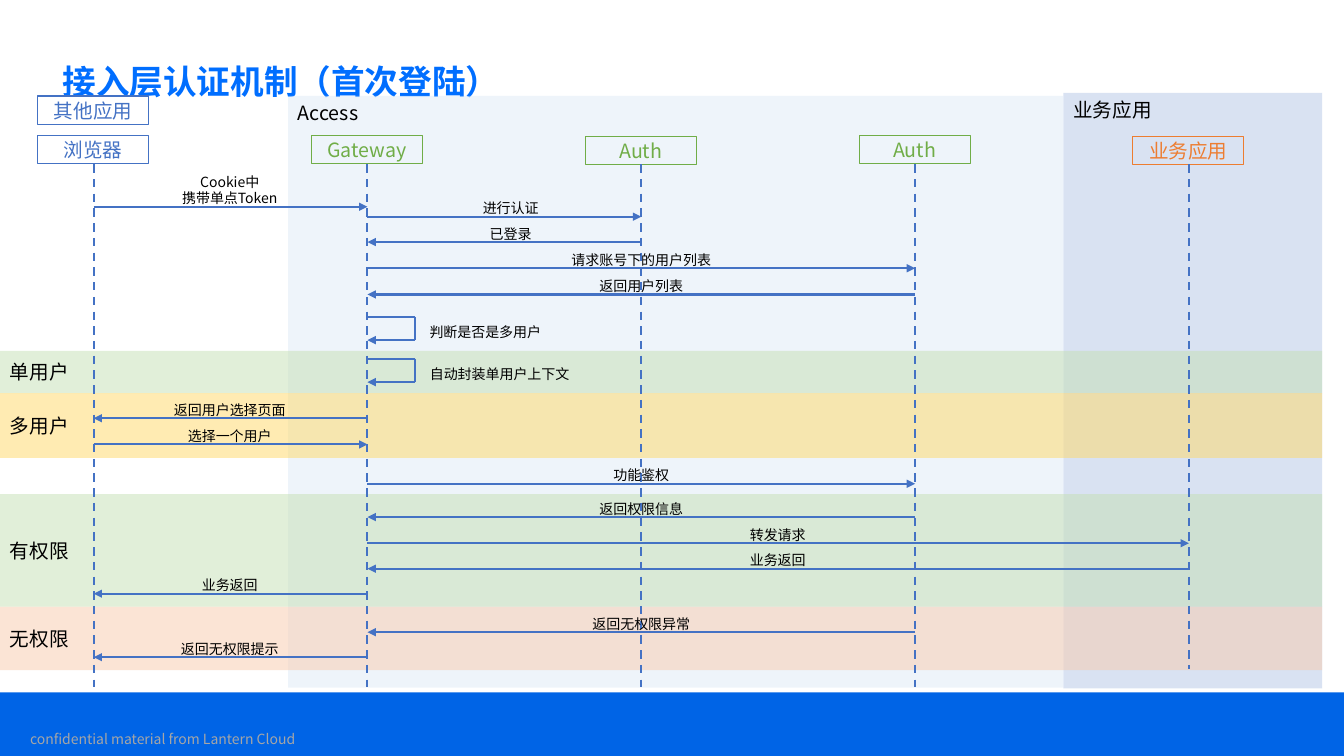
"""Builds a sequence diagram slide of first-login authentication at the access layer."""
from lxml.etree import SubElement
from pptx import Presentation
from pptx.dml.color import RGBColor
from pptx.enum.dml import MSO_LINE
from pptx.enum.shapes import MSO_CONNECTOR, MSO_SHAPE
from pptx.enum.text import MSO_ANCHOR as ANCHOR, PP_ALIGN as ALIGN
from pptx.oxml.ns import qn
from pptx.util import Cm, Pt

NOTO = "Noto Sans CJK SC"
BLACK = RGBColor(0x00, 0x00, 0x00)
TITLE_BLUE = RGBColor(0x00, 0x6E, 0xFF)
FOOTER_BLUE = RGBColor(0x00, 0x64, 0xE6)
GREY = RGBColor(0xA6, 0xA6, 0xA6)
BLUE = RGBColor(0x44, 0x72, 0xC4)
GREEN = RGBColor(0x70, 0xAD, 0x47)
ORANGE = RGBColor(0xED, 0x7D, 0x31)
ZONE_BLUE = RGBColor(0xB4, 0xC7, 0xE7)
PALE_BLUE = RGBColor(0xDE, 0xEB, 0xF7)
PALE_RED = RGBColor(0xF8, 0xCB, 0xAD)
PALE_GREEN = RGBColor(0xC5, 0xE0, 0xB4)
PALE_YELLOW = RGBColor(0xFF, 0xD9, 0x66)


def write(shape, text, size, color, align=ALIGN.LEFT, anchor=ANCHOR.MIDDLE, font=NOTO):
    frame = shape.text_frame
    frame.text = text
    frame.word_wrap = True
    frame.vertical_anchor = anchor
    for paragraph in frame.paragraphs:
        paragraph.alignment = align
        paragraph.font.name = font
        paragraph.font.size = Pt(size)
        paragraph.font.color.rgb = color
        defaults = paragraph._p.pPr.find(qn("a:defRPr"))
        SubElement(defaults, qn("a:ea")).set("typeface", NOTO)
    return frame


def draw_line(x1, y1, x2, y2, arrow=False, dashed=False):
    link = slide.shapes.add_connector(
        MSO_CONNECTOR.STRAIGHT, Cm(x1), Cm(y1), Cm(x2), Cm(y2))
    link.line.color.rgb = BLUE
    link.line.width = Pt(1.5)
    if dashed:
        link.line.dash_style = MSO_LINE.DASH
    if arrow:
        SubElement(link.line._get_or_add_ln(), qn("a:tailEnd")).set("type", "triangle")
    SubElement(link._element.spPr, qn("a:effectLst"))


prs = Presentation()
prs.slide_width, prs.slide_height = Cm(33.87), Cm(19.05)
slide = prs.slides.add_slide(prs.slide_layouts[5])

title = slide.shapes.title
title.left, title.top, title.width, title.height = Cm(1.32), Cm(1.32), Cm(29.2), Cm(1.58)
heading = write(title, "接入层认证机制（首次登陆）", 24, TITLE_BLUE).paragraphs[0]
heading.font.bold = True
heading.line_spacing = 0.9

footer = slide.shapes.add_shape(MSO_SHAPE.RECTANGLE, 0, Cm(17.45), prs.slide_width, Cm(1.6))
footer.shadow.inherit = False
footer.fill.solid()
footer.fill.fore_color.rgb = FOOTER_BLUE
footer.line.fill.background()
notice = slide.shapes.add_textbox(Cm(0.51), Cm(18.1), Cm(9.22), Cm(1.02))
write(notice, "confidential material from Lantern Cloud", 10, GREY)

areas = [
    ("业务应用", 26.8, 2.34, 6.52, 15.01, ZONE_BLUE, ANCHOR.TOP, NOTO),
    ("Access", 7.26, 2.42, 19.54, 14.91, PALE_BLUE, ANCHOR.TOP, NOTO),
    ("无权限", 0, 15.29, 33.32, 1.6, PALE_RED, ANCHOR.MIDDLE, "Calibri"),
    ("有权限", 0, 12.45, 33.32, 2.84, PALE_GREEN, ANCHOR.MIDDLE, "Calibri"),
    ("单用户", 0, 8.84, 33.32, 1.07, PALE_GREEN, ANCHOR.MIDDLE, "Calibri"),
    ("多用户", 0, 9.91, 33.32, 1.63, PALE_YELLOW, ANCHOR.MIDDLE, "Calibri"),
]
for name, left, top, width, height, color, anchor, font in areas:
    area = slide.shapes.add_shape(
        MSO_SHAPE.RECTANGLE, Cm(left), Cm(top), Cm(width), Cm(height))
    area.shadow.inherit = False
    area.fill.solid()
    area.fill.fore_color.rgb = color
    tint = area._element.spPr.find(qn("a:solidFill"))[0]
    SubElement(tint, qn("a:alpha")).set("val", "50000")
    area.line.fill.background()
    write(area, name, 14, BLACK, anchor=anchor, font=font)

lifelines = [2.36 + 6.9 * i for i in range(5)]
BROWSER, GATEWAY, AUTH, USER_AUTH, BUSINESS = range(5)
actors = [
    ("浏览器", BROWSER, 3.41, BLUE),
    ("其他应用", BROWSER, 2.42, BLUE),
    ("Gateway", GATEWAY, 3.41, GREEN),
    ("Auth", AUTH, 3.43, GREEN),
    ("Auth", USER_AUTH, 3.41, GREEN),
    ("业务应用", BUSINESS, 3.43, ORANGE),
]
for name, column, top, color in actors:
    actor = slide.shapes.add_shape(
        MSO_SHAPE.RECTANGLE, Cm(lifelines[column] - 1.41), Cm(top), Cm(2.8), Cm(0.72))
    actor.shadow.inherit = False
    actor.fill.background()
    actor.line.color.rgb = color
    actor.line.width = Pt(0.75)
    write(actor, name, 14, color, ALIGN.CENTER)

for column, x in enumerate(lifelines):
    draw_line(x, 4.14, x, 16.87 if column == BUSINESS else 17.32, dashed=True)

label_centers = {
    (BROWSER, GATEWAY): 5.79,
    (GATEWAY, AUTH): 12.87,
    (GATEWAY, USER_AUTH): 16.16,
    (GATEWAY, BUSINESS): 19.6,
}
messages = [
    ("Cookie中\n携带单点Token", BROWSER, GATEWAY, 5.21),
    ("进行认证", GATEWAY, AUTH, 5.46),
    ("已登录", AUTH, GATEWAY, 6.1),
    ("请求账号下的用户列表", GATEWAY, USER_AUTH, 6.76),
    ("返回用户列表", USER_AUTH, GATEWAY, 7.42),
    ("返回用户选择页面", GATEWAY, BROWSER, 10.54),
    ("选择一个用户", BROWSER, GATEWAY, 11.2),
    ("功能鉴权", GATEWAY, USER_AUTH, 12.19),
    ("返回权限信息", USER_AUTH, GATEWAY, 13.03),
    ("转发请求", GATEWAY, BUSINESS, 13.69),
    ("业务返回", BUSINESS, GATEWAY, 14.33),
    ("业务返回", GATEWAY, BROWSER, 14.96),
    ("返回无权限异常", USER_AUTH, GATEWAY, 15.93),
    ("返回无权限提示", GATEWAY, BROWSER, 16.56),
]
labels = []
for text, sender, receiver, y in messages:
    draw_line(lifelines[sender], y, lifelines[receiver], y, arrow=True)
    labels.append((text, label_centers[tuple(sorted((sender, receiver)))], y))

loop_left, loop_right = lifelines[GATEWAY], 10.46
for text, center, top in [("判断是否是多用户", 12.23, 7.98), ("自动封装单用户上下文", 12.59, 9.04)]:
    bottom = top + 0.59
    draw_line(loop_left, top, loop_right, top)
    draw_line(loop_right, top, loop_right, bottom)
    draw_line(loop_right, bottom, loop_left, bottom, arrow=True)
    labels.append((text, center, bottom))

for text, center, bottom in labels:
    height = 0.97 if "\n" in text else 0.62
    label = slide.shapes.add_textbox(Cm(center - 2.4), Cm(bottom - height), Cm(4.8), Cm(height))
    frame = write(label, text, 10, BLACK, ALIGN.CENTER, ANCHOR.BOTTOM)
    frame.margin_top = frame.margin_bottom = 0
    for paragraph in frame.paragraphs:
        paragraph.line_spacing = Pt(12)

prs.save("out.pptx")
